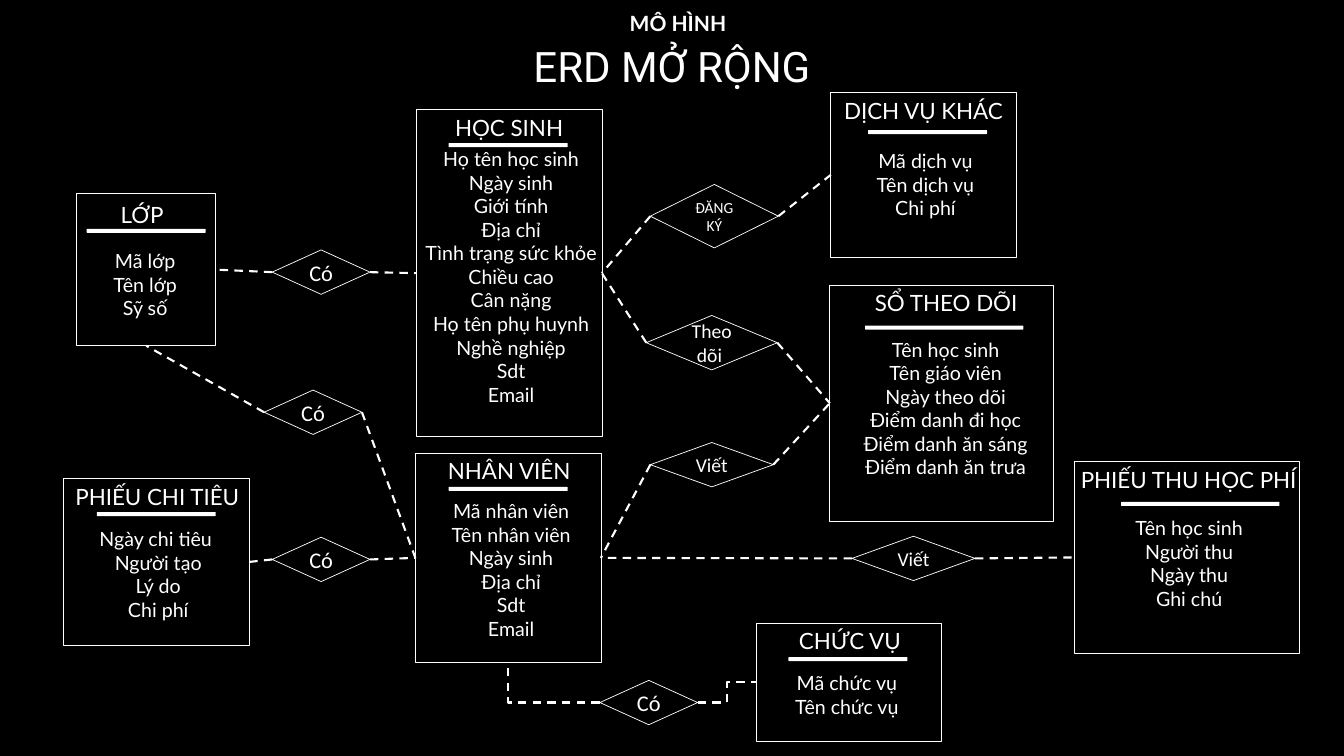
"""Extended ERD slide: entities, relationships and dashed links."""
from lxml import etree
from pptx import Presentation
from pptx import util as u
from pptx.dml.color import RGBColor
from pptx.enum import dml, shapes, text
from pptx.oxml.ns import qn

BLACK = RGBColor(0x00, 0x00, 0x00)
WHITE = RGBColor(0xFF, 0xFF, 0xFF)
LEFT, BOTTOM, RIGHT = 1, 2, 3
STRAIGHT, ELBOW = shapes.MSO_CONNECTOR.STRAIGHT, shapes.MSO_CONNECTOR.ELBOW


def add_shape(parent, kind, box, filled=False):
    sp = parent.add_shape(kind, *map(u.Inches, box))
    sp.shadow.inherit = False
    if filled:
        sp.fill.solid()
        sp.fill.fore_color.rgb = WHITE
        sp.line.fill.background()
    else:
        sp.fill.background()
        sp.line.color.rgb = WHITE
        sp.line.width = u.Pt(0.5)
    return sp


def write(sp, lines, size, font="Lato", bold=False, spacing=None, before=None, inset=None):
    tf = sp.text_frame
    tf.word_wrap = True
    if inset:
        tf.margin_left = tf.margin_right = u.Inches(inset[0])
        tf.margin_top = tf.margin_bottom = u.Inches(inset[1])
    for i, line in enumerate(lines):
        p = tf.add_paragraph() if i else tf.paragraphs[0]
        p.alignment = text.PP_ALIGN.CENTER
        p.line_spacing = spacing
        p.space_before = before
        r = p.add_run()
        r.text = line
        r.font.name, r.font.size, r.font.bold = font, u.Pt(size), bold
        r.font.color.rgb = WHITE
    return tf


prs = Presentation()
prs.slide_width, prs.slide_height = u.Inches(13.33), u.Inches(7.5)
s = prs.slides.add_slide(prs.slide_layouts[6])
s.background.fill.solid()
s.background.fill.fore_color.rgb = BLACK

heading = s.shapes.add_group_shape().shapes
tb = heading.add_textbox(*map(u.Inches, (3.23, 0.41, 6.87, 0.58)))
write(tb, ["ERD MỞ RỘNG"], 30, "Roboto", spacing=0.9)
tb = heading.add_textbox(*map(u.Inches, (3.29, 0.08, 6.87, 0.33)))
tf = write(tb, ["MÔ HÌNH"], 15, bold=True, spacing=0.9)
tf.vertical_anchor = text.MSO_ANCHOR.BOTTOM

# name, frame, title box, rule (left, top, width), attribute box, attributes
entities = [
    ("HỌC SINH", (4.13, 1.09, 1.84, 3.24), (4.03, 1.12, 2.04, 0.22), (4.45, 1.42, 1.18),
     (4.05, 1.42, 2.04, 2.86),
     ["Họ tên học sinh", "Ngày sinh", "Giới tính", "Địa chỉ", "Tình trạng sức khỏe", "Chiều cao",
      "Cân nặng", "Họ tên phụ huynh", "Nghề nghiệp", "Sdt", "Email"]),
    ("LỚP", (0.76, 1.92, 1.38, 1.51), (0.39, 1.99, 2.04, 0.22), (0.86, 2.27, 1.18),
     (0.55, 2.43, 1.78, 0.87), ["Mã lớp", "Tên lớp", "Sỹ số"]),
    ("DỊCH VỤ KHÁC", (8.24, 0.92, 1.84, 1.63), (8.14, 0.95, 2.04, 0.25), (8.61, 1.29, 1.18),
     (8.16, 1.44, 2.04, 1.52), ["Mã dịch vụ", "Tên dịch vụ", "Chi phí"]),
    ("SỔ THEO DÕI", (8.23, 2.83, 2.22, 2.34), (8.32, 2.86, 2.13, 0.34), (8.58, 3.23, 1.57),
     (8.23, 3.31, 2.3, 1.48),
     ["Tên học sinh", "Tên giáo viên", "Ngày theo dõi", "Điểm danh đi học",
      "Điểm danh ăn sáng", "Điểm danh ăn trưa"]),
    ("NHÂN VIÊN", (4.12, 4.5, 1.84, 2.07), (4.03, 4.53, 2.04, 0.22), (4.45, 4.83, 1.18),
     (4.05, 4.91, 2.04, 1.52),
     ["Mã nhân viên", "Tên nhân viên", "Ngày sinh", "Địa chỉ", "Sdt", "Email"]),
    ("PHIẾU THU HỌC PHÍ", (10.66, 4.58, 2.23, 1.9), (10.58, 4.61, 2.42, 0.36),
     (11.12, 4.98, 1.57), (10.61, 5.08, 2.37, 1.35),
     ["Tên học sinh", "Người thu", "Ngày thu", "Ghi chú"]),
    ("CHỨC VỤ", (7.5, 6.18, 1.84, 1.18), (7.41, 6.21, 2.04, 0.22), (7.82, 6.52, 1.18),
     (7.48, 6.62, 1.84, 0.64), ["Mã chức vụ", "Tên chức vụ"]),
    ("PHIẾU CHI TIÊU", (0.63, 4.75, 1.84, 1.65), (0.54, 4.78, 2.04, 0.22), (0.96, 5.08, 1.18),
     (0.55, 5.19, 2.04, 1.18), ["Ngày chi tiêu ", "Người tạo", "Lý do", "Chi phí"]),
]
frames = {}
for name, frame, title_box, rule, body_box, attributes in entities:
    group = s.shapes.add_group_shape().shapes
    frames[name] = add_shape(group, shapes.MSO_SHAPE.RECTANGLE, frame)
    tb = group.add_textbox(*map(u.Inches, title_box))
    write(tb, [name], 16, spacing=0.9, before=u.Pt(7.5), inset=(0.07, 0.04))
    add_shape(group, shapes.MSO_SHAPE.ROUNDED_RECTANGLE, (*rule, 0.04), filled=True)
    tb = group.add_textbox(*map(u.Inches, body_box))
    write(tb, attributes, 14, inset=(0.07, 0.04))

relationships = [
    ("Có", 16, (2.7, 2.48, 0.97, 0.44), ("LỚP", RIGHT), ("HỌC SINH", LEFT)),
    ("ĐĂNG KÝ", 11, (6.45, 1.83, 1.27, 0.63), ("HỌC SINH", RIGHT), ("DỊCH VỤ KHÁC", LEFT)),
    ("Có", 16, (2.62, 3.87, 0.97, 0.44), ("LỚP", BOTTOM), ("NHÂN VIÊN", LEFT)),
    ("Có", 16, (2.7, 5.33, 0.97, 0.44), ("PHIẾU CHI TIÊU", RIGHT), ("NHÂN VIÊN", LEFT)),
    ("Có", 16, (5.95, 6.75, 0.97, 0.44), ("NHÂN VIÊN", BOTTOM), ("CHỨC VỤ", LEFT)),
    ("Viết", 14, (6.45, 4.39, 1.22, 0.44), ("NHÂN VIÊN", RIGHT), ("SỔ THEO DÕI", LEFT)),
    ("Theo dõi ", 14, (6.41, 3.13, 1.3, 0.54), ("HỌC SINH", RIGHT), ("SỔ THEO DÕI", LEFT)),
    ("Viết", 14, (8.45, 5.32, 1.22, 0.44), ("NHÂN VIÊN", RIGHT), ("PHIẾU THU HỌC PHÍ", LEFT)),
]
for label, size, box, source, target in relationships:
    diamond = add_shape(s.shapes, shapes.MSO_SHAPE.DIAMOND, box)
    tf = write(diamond, [label], size, "Calibri")
    tf.vertical_anchor = text.MSO_ANCHOR.MIDDLE
    kind = ELBOW if target[0] == "CHỨC VỤ" else STRAIGHT
    for corner, (name, side) in ((LEFT, source), (RIGHT, target)):
        cn = s.shapes.add_connector(kind, 0, 0, 0, 0)
        cn.begin_connect(diamond, corner)
        cn.end_connect(frames[name], side)
        cn.line.color.rgb = WHITE
        cn.line.width = u.Pt(1.5)
        cn.line.dash_style = dml.MSO_LINE.DASH
        sp_pr = cn._element.spPr
        etree.SubElement(sp_pr, qn("a:effectLst"))
        if kind == ELBOW and side == BOTTOM:
            sp_pr.find(qn("a:prstGeom")).set("prst", "bentConnector2")

prs.save("out.pptx")
